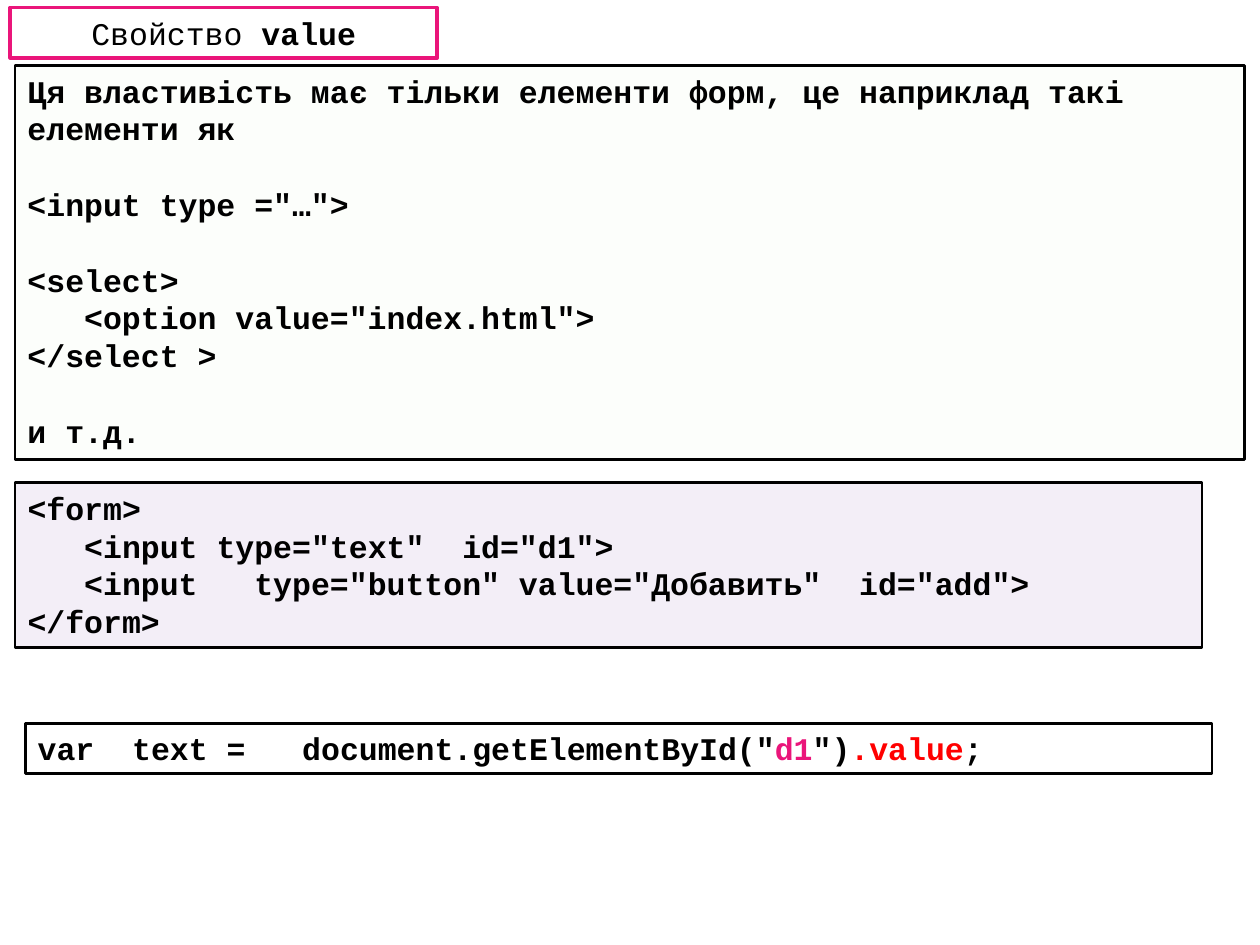
from lxml import etree
from pptx import Presentation
from pptx.dml.color import RGBColor
from pptx.enum import shapes, text
from pptx.oxml.ns import qn
from pptx.util import Inches, Pt

BLACK = RGBColor(0x00, 0x00, 0x00)
WHITE = RGBColor(0xFF, 0xFF, 0xFF)
PINK = RGBColor(0xEA, 0x15, 0x7A)
RED = RGBColor(0xFF, 0x00, 0x00)
GREEN = RGBColor(0xE5, 0xF6, 0xD8)
PURPLE = RGBColor(0x70, 0x30, 0xA0)
BLANK_LINE = Pt(21.6)


def add_run(paragraph, words, color=BLACK, bold=True):
    run = paragraph.add_run()
    run.text = words
    font_format = {"name": "Courier New", "size": Pt(18), "bold": bold}
    for name, value in font_format.items():
        setattr(run.font, name, value)
    run.font.color.rgb = color


def style_box(shape, fill, line, width, opacity=100):
    if fill is None:
        shape.fill.background()
    else:
        shape.fill.solid()
        shape.fill.fore_color.rgb = fill
        if opacity < 100:
            color = shape._element.spPr.find(qn("a:solidFill"))[0]
            etree.SubElement(color, qn("a:alpha"), val=str(opacity * 1000))
    shape.line.color.rgb = line
    shape.line.width = Pt(width)


presentation = Presentation()
presentation.slide_width = Inches(10)
presentation.slide_height = Inches(7.5)
slide = presentation.slides.add_slide(presentation.slide_layouts[5])

# Title
title = slide.shapes.title
title_place = {"left": 0.08, "top": 0.06, "width": 3.39, "height": 0.4}
for name, value in title_place.items():
    setattr(title, name, Inches(value))
style_box(title, WHITE, PINK, 2)
title.text_frame.auto_size = text.MSO_AUTO_SIZE.NONE
title.text_frame.vertical_anchor = text.MSO_ANCHOR.MIDDLE
paragraph = title.text_frame.paragraphs[0]
paragraph.alignment = text.PP_ALIGN.CENTER
add_run(paragraph, "Свойство ", bold=False)
add_run(paragraph, "value")

# Wording of the boxes: each line is (gap before, runs)
element_lines = [
    (0, [("Ця властивість має тільки елементи форм, це наприклад такі елементи як", BLACK)]),
    (BLANK_LINE, [('<input type ="…">', BLACK)]),
    (BLANK_LINE, [("<select>", BLACK)]),
    (0, [('   <option value="index.html">', BLACK)]),
    (0, [("</select >", BLACK)]),
    (BLANK_LINE, [("и т.д.", BLACK)]),
]
form_lines = [
    (0, [("<form>", BLACK)]),
    (0, [('   <input type="text"  id="d1">', BLACK)]),
    (0, [('   <input   type="button" value="Добавить"  id="add">', BLACK)]),
    (0, [("</form>", BLACK)]),
]
script_lines = [
    (0, [('var  text =   document.getElementById("', BLACK), ("d1", PINK),
         ('")', BLACK), (".value", RED), (";", BLACK)]),
]

# Explanation, form markup and script boxes
boxes = [
    ((0.12, 0.52, 9.76, 3.13), GREEN, element_lines),
    ((0.12, 3.83, 9.42, 1.31), PURPLE, form_lines),
    ((0.2, 5.74, 9.42, 0.4), None, script_lines),
]
for place, fill, lines in boxes:
    box = slide.shapes.add_shape(
        shapes.MSO_SHAPE.RECTANGLE, *[Inches(value) for value in place])
    box.shadow.inherit = False
    style_box(box, fill, BLACK, 1.5, opacity=8)
    frame = box.text_frame
    frame_format = {"word_wrap": True, "vertical_anchor": text.MSO_ANCHOR.TOP,
                    "auto_size": text.MSO_AUTO_SIZE.SHAPE_TO_FIT_TEXT}
    for name, value in frame_format.items():
        setattr(frame, name, value)
    for index, (gap, runs) in enumerate(lines):
        paragraph = frame.add_paragraph() if index else frame.paragraphs[0]
        paragraph.alignment = text.PP_ALIGN.LEFT
        if gap:
            paragraph.space_before = gap
        for words, color in runs:
            add_run(paragraph, words, color)

presentation.save("out.pptx")
